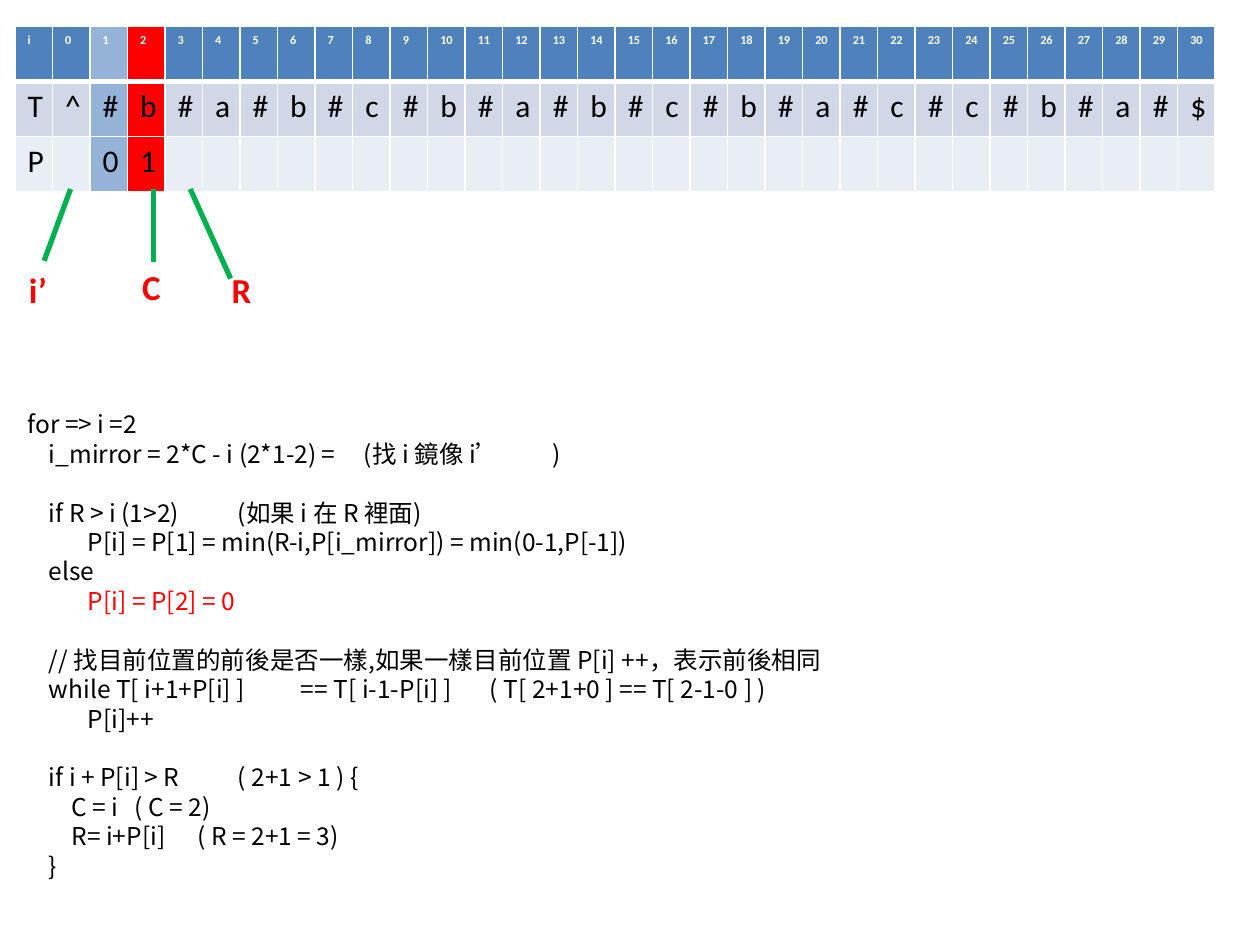
from pptx import Presentation
from pptx.util import Inches, Pt
from pptx.dml.color import RGBColor
from pptx.enum.shapes import MSO_CONNECTOR as Conn
from pptx.enum.text import MSO_AUTO_SIZE as Fit
from pptx.oxml.ns import qn
from lxml.etree import SubElement

RED, GREEN, BLACK, WHITE = "FF0000", "00B050", "000000", "FFFFFF"
LATIN, CJK = "Calibri", "Noto Sans CJK SC"

# Table: one list per row, and the colours of the marked columns
COLS = 32
ROWS = [
    ["i"] + [str(n) for n in range(COLS - 1)],
    list("T^#b#a#b#c#b#a#b#c#b#a#c#c#b#a#$"),
    ["P", "", "0", "1"] + [""] * (COLS - 4),
]
FILLS = ["4F81BD", "D0D8E8", "E9EDF4"]
MARKS = {2: "95B3D7", 3: RED}

# Pointers: text, left, top, line from, line to
POINTERS = [
    ("i’", 0.13, 2.08, (0.56, 1.5), (0.35, 2.07)),
    ("C", 1.03, 2.06, (1.22, 1.5), (1.22, 2.08)),
    ("R", 1.74, 2.08, (1.51, 1.5), (1.83, 2.21)),
]

# Code: indent level, tab stops in inches, blocks of lines
INDENTS = [0, 0.17, 0.35, 0.48]
PITCH = 16.8
BLOCKS = [
    [(0, [], "for => i =2"),
     (1, [2.63, 4.13], "i_mirror = 2*C - i (2*1-2) =\t(找 i 鏡像 i’\t)")],
    [(1, [1.4], "if R > i (1>2)\t(如果 i 在 R 裡面)"),
     (3, [], "P[i] = P[1] = min(R-i,P[i_mirror]) = min(0-1,P[-1])"),
     (1, [], "else"),
     (3, [], "P[i] = P[2] = 0")],
    [(1, [], "// 找目前位置的前後是否一樣,如果一樣目前位置 P[i] ++，表示前後相同"),
     (1, [1.85, 3.2], "while T[ i+1+P[i] ]\t== T[ i-1-P[i] ]\t( T[ 2+1+0 ] == T[ 2-1-0 ] )"),
     (3, [], "P[i]++")],
    [(1, [1.4], "if i + P[i] > R\t( 2+1 > 1 ) {"),
     (2, [1.12], "C = i\t( C = 2)"),
     (2, [1.25], "R= i+P[i]\t( R = 2+1 = 3)"),
     (1, [], "}")],
]
RESULT = "P[i] = P[2] = 0"


def style(para, size, color, bold=False, face=LATIN):
    for run in para.runs:
        font = run.font
        font.size, font.bold, font.name = Pt(size), bold, face
        font.color.rgb = RGBColor.from_string(color)
        if face == CJK:
            SubElement(run._r.get_or_add_rPr(), qn("a:ea"), typeface=face)


def edge(cell, side, width):
    line = SubElement(cell._tc.get_or_add_tcPr(), qn("a:" + side), w=str(Pt(width)))
    fill = SubElement(line, qn("a:solidFill"))
    SubElement(fill, qn("a:srgbClr"), val=WHITE)


def indent(para, left, stops):
    props = para._p.get_or_add_pPr()
    props.set("marL", str(Inches(left)))
    props.set("indent", "0")
    if stops:
        tabs = SubElement(props, qn("a:tabLst"))
        for stop in stops:
            SubElement(tabs, qn("a:tab"), pos=str(Inches(stop)), algn="l")


def add_grid(slide):
    table = slide.shapes.add_table(
        len(ROWS), COLS, Inches(0.12), Inches(0.21), Inches(9.53), Inches(1.31)).table
    for r, row in enumerate(ROWS):
        for c, text in enumerate(row):
            cell = table.cell(r, c)
            cell.text = text
            cell.margin_right = Inches(0.05)
            for side in ("lnL", "lnR", "lnT", "lnB"):
                thick = (r, side) in ((0, "lnB"), (1, "lnT"))
                edge(cell, side, 3 if thick else 1)
            cell.fill.solid()
            cell.fill.fore_color.rgb = RGBColor.from_string(MARKS.get(c, FILLS[r]))
            head = r == 0
            style(cell.text_frame.paragraphs[0], 7 if head else 18,
                  WHITE if head else BLACK, head)


def add_code(slide):
    box = slide.shapes.add_textbox(Inches(0.12), Inches(3.2), Inches(9.53), Inches(4.11))
    frame = box.text_frame
    frame.word_wrap = True
    para = frame.paragraphs[0]
    for b, block in enumerate(BLOCKS):
        for n, (level, stops, text) in enumerate(block):
            if b or n:
                para = frame.add_paragraph()
            para.text = text
            para.line_spacing = Pt(PITCH)
            para.space_before = Pt(PITCH if b and n == 0 else 0)
            indent(para, INDENTS[level], stops)
            style(para, 14, RED if text == RESULT else BLACK, face=CJK)


def add_pointer(slide, text, left, top, start, end):
    line = slide.shapes.add_connector(
        Conn.STRAIGHT, *(Inches(v) for v in start + end))
    line.line.color.rgb = RGBColor.from_string(GREEN)
    line.line.width = Pt(3)
    SubElement(line._element.spPr, qn("a:effectLst"))
    box = slide.shapes.add_textbox(Inches(left), Inches(top), Inches(0.35), Inches(0.44))
    frame = box.text_frame
    frame.word_wrap = False
    frame.auto_size = Fit.SHAPE_TO_FIT_TEXT
    frame.text = text
    style(frame.paragraphs[0], 20, RED, True)


def main():
    deck = Presentation()
    deck.slide_width, deck.slide_height = Inches(10), Inches(7.5)
    slide = deck.slides.add_slide(deck.slide_layouts[6])
    add_grid(slide)
    add_code(slide)
    for pointer in POINTERS:
        add_pointer(slide, *pointer)
    deck.save("out.pptx")


if __name__ == "__main__":
    main()
